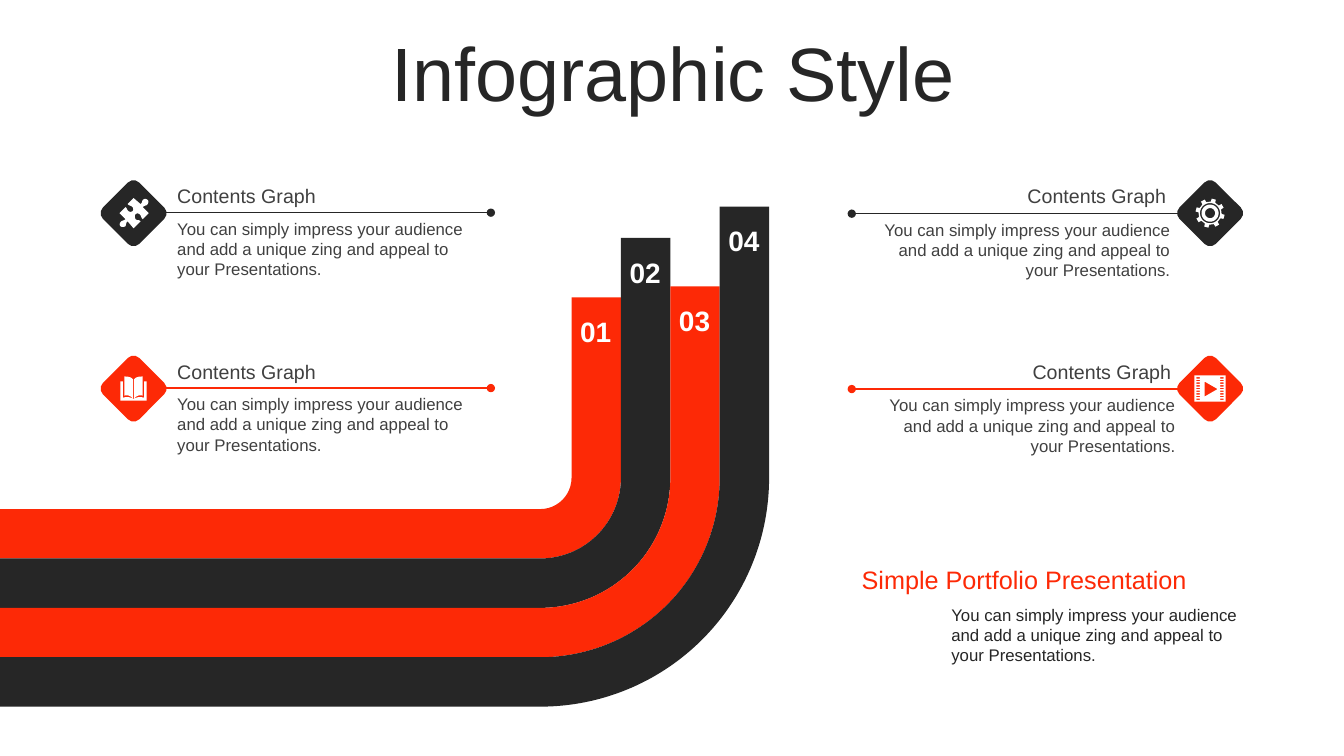
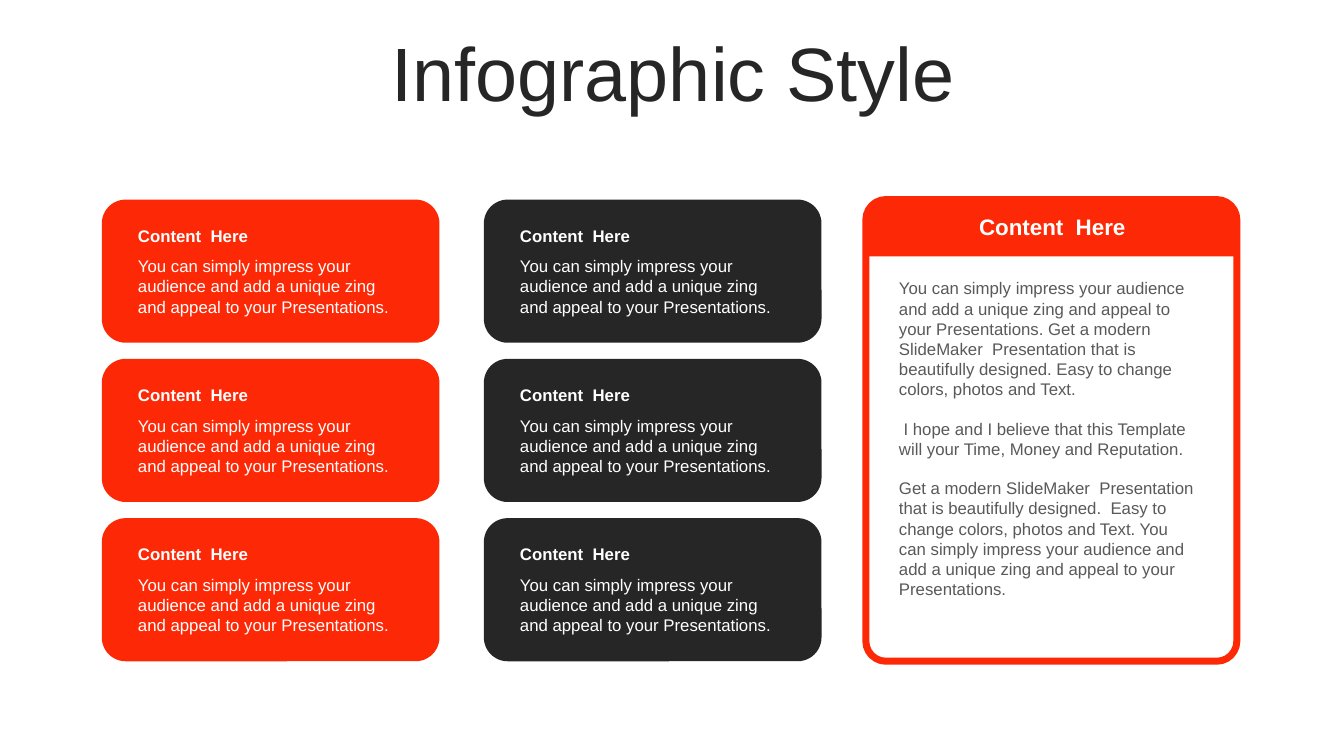
from math import cos, radians, sin

from lxml.etree import SubElement
from pptx import Presentation
from pptx.dml.color import RGBColor as Rgb
from pptx.enum.shapes import MSO_CONNECTOR as Link, MSO_SHAPE as Kind
from pptx.enum.text import MSO_ANCHOR as Anchor, MSO_AUTO_SIZE as Fit, PP_ALIGN as Align
from pptx.oxml.ns import qn
from pptx.util import Inches, Pt

COLS, ROWS = 160, 90
CELL = Inches(1) / 12
TINY = 0.12
HUES = {"red": "FD2906", "dark": "262626", "text": "404040",
        "gray": "595959", "white": "FFFFFF"}
FACE = "Arial"
PITCH = "You can simply impress your audience and add a unique zing and appeal to your Presentations."
HEAD = "Content  Here"
TALE = [
    PITCH + " Get a modern SlideMaker  Presentation that is beautifully designed. "
    "Easy to change colors, photos and Text.",
    " I hope and I believe that this Template will your Time, Money and Reputation.",
    "Get a modern SlideMaker  Presentation that is beautifully designed.  "
    "Easy to change colors, photos and Text. " + PITCH,
]
BAND = 5.88
PUZZLE = [
    (14, -13), (15, -12, 15, -11, 14, -9), (13, -7, 11, -8, 9, -6), (15, 0), (9, 6),
    (7, 4, 8, 3, 6, 1), (5, 0, 3, 0, 2, 1), (1, 2, 1, 4, 2, 6), (4, 8, 5, 6, 7, 8),
    (0, 15), (-6, 8), (-8, 10, -7, 11, -8, 13), (-10, 14, -12, 14, -13, 13),
    (-14, 12, -14, 10, -13, 9), (-12, 7, -10, 8, -8, 6), (-14, 0), (-8, -6),
    (-6, -5, -7, -3, -5, -2), (-4, -1, -2, -1, -1, -2), (0, -3, 0, -5, -1, -6),
    (-3, -8, -4, -7, -6, -9), (0, -15), (7, -9), (9, -11, 8, -11, 9, -13),
    (11, -15, 13, -14, 14, -13),
]
PAGE = [(0.5, 10), (0.5, -9), (2, -11, 4, -12, 9, -12), (9, 7), (6, 6, 3, 7, 0.5, 10)]
COVER = [(13, 12), (13, -7), (10.5, -7), (10.5, 9), (6, 8, 4, 8, 0, 10.5), (0, 12)]


def grid(*cells):
    return [round(n * CELL) for n in cells]


def rgb(hue):
    return Rgb.from_string(HUES[hue])


def apply(target, values):
    for name, value in values.items():
        setattr(target, name, value)


def write(frame, lines, size, hue, bold=False, para=None, box=None):
    apply(frame, {"word_wrap": True, "auto_size": Fit.NONE} | (box or {}))
    for i, line in enumerate(lines):
        item = frame.paragraphs[0] if i == 0 else frame.add_paragraph()
        item.text = line
        apply(item, para or {})
        apply(item.font, {"name": FACE, "size": Pt(size), "bold": bold})
        item.font.color.rgb = rgb(hue)


def label(slide, area, lines, size, hue, **style):
    frame = slide.shapes.add_textbox(*grid(*area)).text_frame
    write(frame, lines, size, hue, **style)


def paint(shape, fill, edge=None):
    shape.shadow.inherit = False
    shape.fill.solid()
    shape.fill.fore_color.rgb = rgb(fill)
    if edge:
        shape.line.color.rgb = rgb(edge)
        shape.line.width = Pt(5)
    else:
        shape.line.fill.background()


def block(slide, kind, area, fill, edge=None, bends=(), turn=0):
    shape = slide.shapes.add_shape(kind, *grid(*area))
    for i, bend in enumerate(bends):
        shape.adjustments[i] = bend
    shape.rotation = turn
    paint(shape, fill, edge)


def pin(slide, start, end, hue):
    line = slide.shapes.add_connector(Link.STRAIGHT, *grid(*start, *end))
    line.line.color.rgb = rgb(hue)
    line.line.width = Pt(1)
    SubElement(line.line._get_or_add_ln(), qn("a:tailEnd"), type="oval")
    SubElement(line._element.spPr, qn("a:effectLst"))


def trace(steps):
    dots = [steps[0]]
    for step in steps[1:]:
        if len(step) == 2:
            dots.append(step)
            continue
        a, b, c, d = dots[-1], step[:2], step[2:4], step[4:]
        for t in (0.25, 0.5, 0.75, 1):
            u = 1 - t
            dots.append(tuple(
                u**3 * p + 3 * u * u * t * q + 3 * u * t * t * r + t**3 * s
                for p, q, r, s in zip(a, b, c, d)))
    return dots


def flip(dots):
    return [(-x, y) for x, y in dots]


def polar(far, turn):
    return far * cos(radians(turn)), far * sin(radians(turn))


def ring(far):
    return [polar(far, turn) for turn in range(0, 360, 10)]


def rect(left, top, right, low):
    return [(left, top), (right, top), (right, low), (left, low)]


def puzzle():
    return [trace(PUZZLE)]


def book():
    halves = [trace(PAGE), trace(COVER)]
    return halves + [flip(half) for half in halves]


def film():
    holes = [rect(-13.5, y, -10, y + 1.4) for y in [2.65 * i - 11.3 for i in range(9)]]
    play = [(-5.5, -7), (-5.5, 8), (7.5, 0.5)]
    return [rect(-15.5, -13, 15.5, 13), play] + holes + [flip(hole) for hole in holes]


def gear():
    tooth = [(11.5, -11), (14.5, -8.5), (14.5, 8.5), (11.5, 11)]
    rim = [polar(far, 15 + 45 * i + turn) for i in range(8) for far, turn in tooth]
    return [rim, ring(10), ring(8.5), ring(5)]


def icon(slide, x, y, loops):
    paths = [[grid(x + TINY * a, y + TINY * b) for a, b in loop] for loop in loops]
    form = slide.shapes.build_freeform(*paths[0][0], scale=1.0)
    for i, dots in enumerate(paths):
        if i:
            form.move_to(*dots[0])
        form.add_line_segments(dots[1:], close=True)
    paint(form.convert_to_shape(), "white")


def start(deck):
    slide = deck.slides.add_slide(deck.slide_layouts[5])
    title = slide.shapes.title
    apply(title, dict(zip(("left", "top", "width", "height"),
                          grid(4.2, 4.44, 151.92, 9.48))))
    write(title.text_frame, ["Infographic Style"], 54, "dark",
          para={"alignment": Align.CENTER, "line_spacing": 0.9},
          box={"vertical_anchor": Anchor.MIDDLE})
    return slide


def bands(slide):
    tops = (35.4, 28.32, 34.08, 24.6)
    for i, top in enumerate(tops):
        wide, high = 73.92 + BAND * i, 66.48 + BAND * i - top
        side = min(wide, high)
        bends = (BAND / side, BAND / 2 / side, 0, (9.6 + BAND * i) / side)
        block(slide, Kind.BENT_ARROW, (0, top, wide, high),
              ("red", "dark")[i % 2], bends=bends, turn=180)
    for i, top in enumerate(tops):
        label(slide, (67.62 + BAND * i, top + 2, 6.6, 4.08), [f"0{i + 1}"], 20, "white",
              bold=True, para={"alignment": Align.CENTER},
              box={"vertical_anchor": Anchor.MIDDLE, "margin_top": 0, "margin_bottom": 0,
                   "margin_left": Inches(0.08), "margin_right": Inches(0.08)})


def entry(slide, right, low, text, loops):
    x, y = 141 if right else 12.84, 43.2 if low else 22.32
    hue = "red" if low else "dark"
    drop = 0.12 if right else 0
    near, far = (140.28, 101.4) if right else (19.68, 58.44)
    para = {"alignment": Align.RIGHT if right else Align.LEFT}
    box = {"margin_right": Inches(0.15)} if right else {}
    block(slide, Kind.ROUNDED_RECTANGLE, (x, y, 6.12, 6.12), hue, bends=(0.156,), turn=315)
    label(slide, (text, y + 3.12 + drop, 38.04, 8.52), [PITCH], 12, "text", para=para)
    label(slide, (text, y - 0.96, 38.16, 4.08), ["Contents Graph"], 14, "text",
          para=para, box=box)
    pin(slide, (near, y + 3 + drop), (far, y + 3 + drop), hue)
    icon(slide, x + 3.06, y + 3.06, loops)


def card(slide, col, row):
    x, y = 12.12 + 45.48 * col, 23.76 + 18.96 * row
    block(slide, Kind.ROUNDED_RECTANGLE, (x, y, 40.2, 17.04), ("red", "dark")[col])
    label(slide, (x + 3.12, y + 2.52, 33.84, 3.6), [HEAD], 12, "white", bold=True)
    label(slide, (x + 3.12, y + 6.12, 33.84, 8.52), [PITCH], 12, "white")


def panel(slide):
    block(slide, Kind.ROUNDED_RECTANGLE, (103.08, 23.76, 44.16, 54.96),
          "white", "red", (0.054,))
    block(slide, Kind.ROUND_2_SAME_RECTANGLE, (103.44, 24.12, 43.56, 6),
          "red", "red", (0.5, 0))
    label(slide, (105.84, 32.52, 38.16, 39.96), TALE, 12, "gray",
          para={"space_after": Pt(13.8)})
    label(slide, (109.68, 24.84, 31.2, 4.44), [HEAD], 16, "white", bold=True,
          para={"alignment": Align.CENTER})


def main():
    deck = Presentation()
    deck.slide_width, deck.slide_height = grid(COLS, ROWS)

    slide = start(deck)
    bands(slide)
    entry(slide, False, False, 19.92, puzzle())
    entry(slide, False, True, 19.92, book())
    entry(slide, True, True, 103.08, film())
    entry(slide, True, False, 102.48, gear())
    label(slide, (101.4, 67.32, 48.96, 4.08), ["Simple Portfolio Presentation"], 18, "red",
          para={"line_spacing": 0.8})
    label(slide, (112.08, 71.4, 38.4, 8.52), [PITCH], 12, "dark")

    slide = start(deck)
    for col in range(2):
        for row in range(3):
            card(slide, col, row)
    panel(slide)
    deck.save("out.pptx")


if __name__ == "__main__":
    main()
